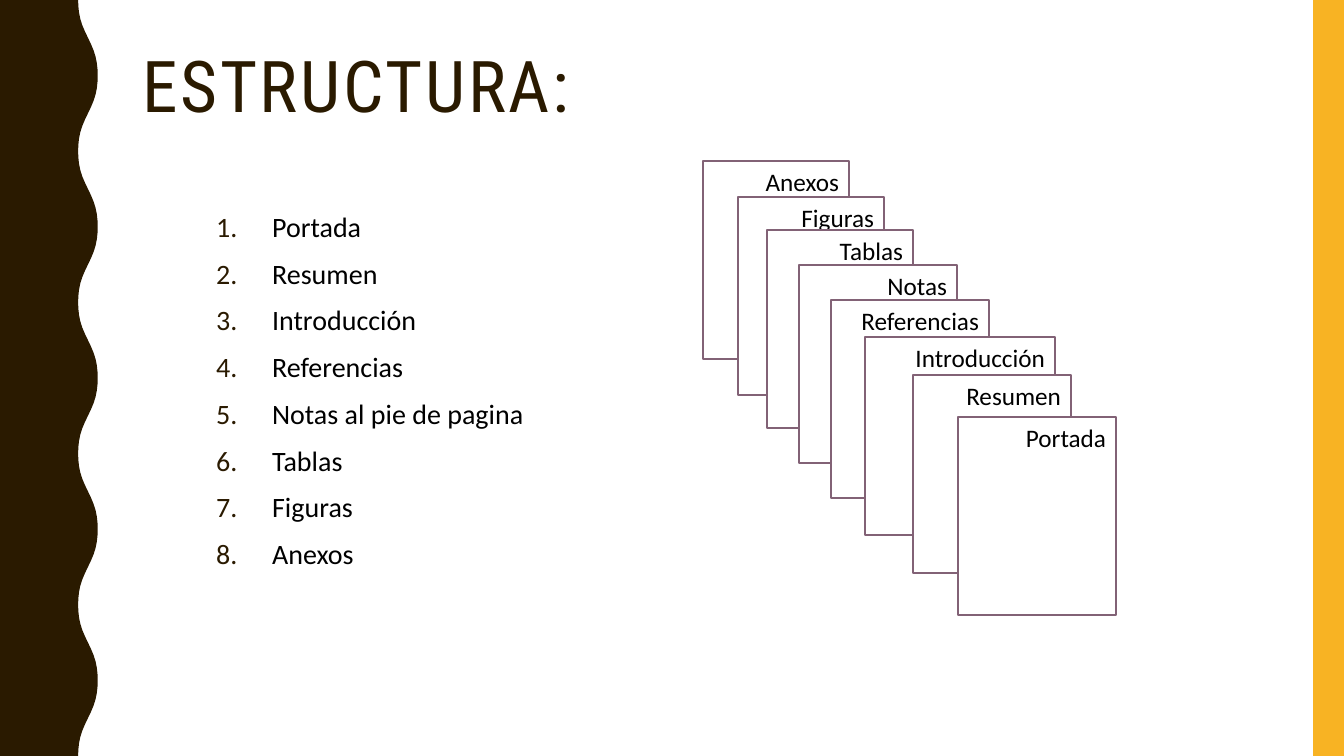
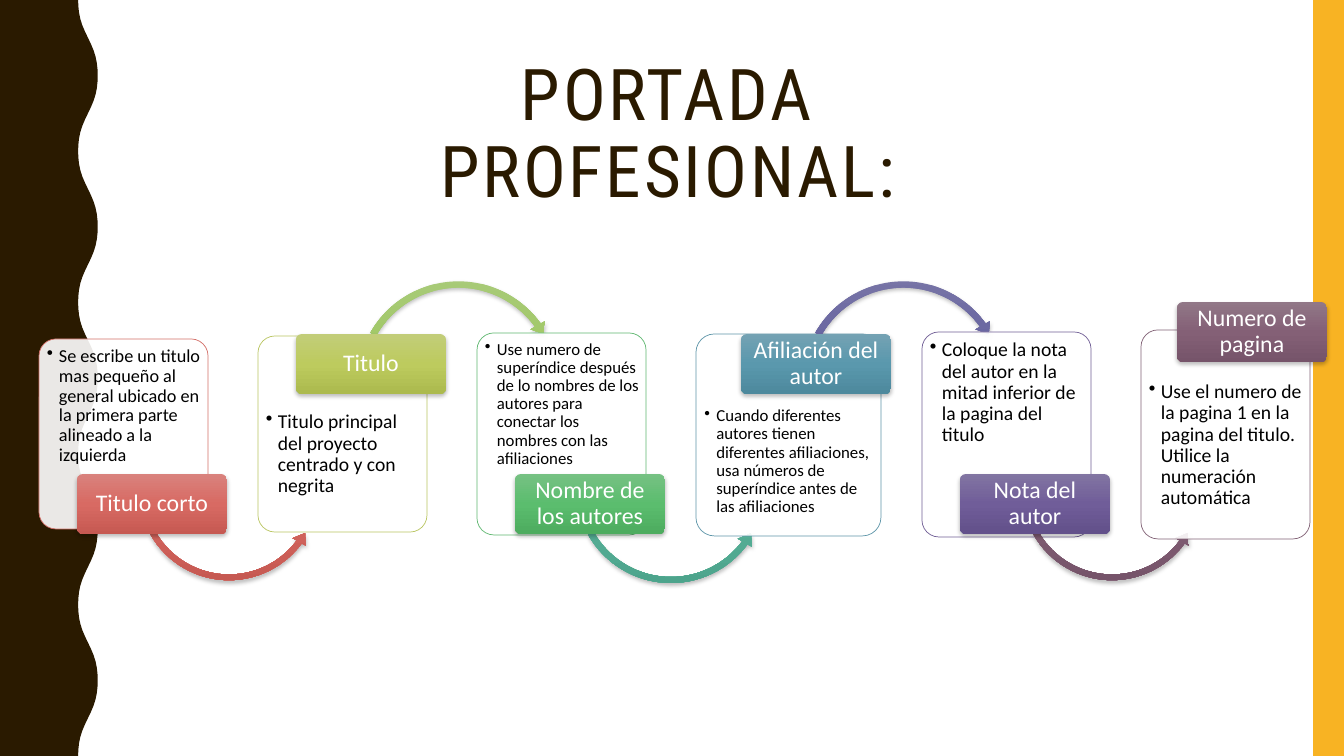
"""Build two slides on the structure of a paper and its professional title page."""
import math

import lxml.etree
import pptx
import pptx.dml.color
import pptx.enum.shapes
import pptx.enum.text
import pptx.oxml.ns
import pptx.util
import copy

WIDTH, HEIGHT = 1344, 756
EMU_PER_PX = 12192000 / WIDTH
TITLE_FONT, TEXT_FONT = "Roboto Condensed", "Calibri"
SHAPES = pptx.enum.shapes.MSO_SHAPE
ALIGN = pptx.enum.text.PP_ALIGN
ANCHOR = pptx.enum.text.MSO_ANCHOR
qn = pptx.oxml.ns.qn

COLORS = {
    "brown": "2A1A00", "amber": "F8B323", "white": "FFFFFF", "black": "000000",
    "red": "D36F68", "lime": "BAC663", "green": "60B871",
    "blue": "5E96A9", "purple": "715F96", "mauve": "826276",
}
RAMPS = {
    "red": ("D9827D", "D86A63", "C65952"),
    "lime": ("C2CD79", "BDCB5E", "ACBA4E"),
    "leaf": ("A8CA78", "9EC85D", "8EB74E"),
    "green": ("76C183", "5BBD6E", "4DAC5F"),
    "teal": ("75BAA5", "5BB59C", "4DA48C"),
    "blue": ("74A2B3", "5A98AD", "4D899D"),
    "violet": ("7774A6", "5F5C9E", "524F8F"),
    "purple": ("8275A2", "705D99", "62508A"),
    "mauve": ("917787", "846076", "76546A"),
}

SECTIONS = ["Portada", "Resumen", "Introducción", "Referencias",
            "Notas al pie de pagina", "Tablas", "Figuras", "Anexos"]
SHEET_HEIGHT = 198
SHEETS = [
    ("Anexos", 703, 161, 146), ("Figuras", 738, 197, 146),
    ("Tablas", 767, 230, 146), ("Notas", 799, 265, 158),
    ("Referencias", 831, 300, 158), ("Introducción", 865, 337, 190),
    ("Resumen", 913, 375, 158), ("Portada", 958, 417, 158),
]

LABEL_SIZE = (150, 60)
ARC_BELOW = (SHAPES.LEFT_CIRCULAR_ARROW, (0.03, 4.14, 21.9, 90.25, 0.04))
ARC_ABOVE = (SHAPES.CIRCULAR_ARROW, (0.03, 3.69, 194.5, 125.7, 0.04))
STEPS = [
    {"color": "red", "card": (39, 339, 169, 190), "inset": 3, "size": 13,
     "text": "Se escribe un titulo mas pequeño al general ubicado en la primera "
             "parte alineado a la izquierda",
     "label": "Titulo corto", "label_at": (77, 474),
     "arrow": (ARC_BELOW, 134, 395, 190, "red")},
    {"color": "lime", "card": (258, 336, 169, 196), "inset": 71, "size": 14,
     "text": "Titulo principal del proyecto centrado y con negrita",
     "label": "Titulo", "label_at": (296, 334),
     "arrow": (ARC_ABOVE, 352, 276, 213, "leaf")},
    {"color": "green", "card": (477, 333, 169, 202), "inset": 3, "size": 12,
     "text": "Use numero de superíndice después de lo nombres de los autores para "
             "conectar los nombres con las afiliaciones",
     "label": "Nombre de los autores", "label_at": (515, 474),
     "arrow": (ARC_BELOW, 571, 388, 200, "teal")},
    {"color": "blue", "card": (696, 334, 185, 202), "inset": 68, "size": 12,
     "text": "Cuando diferentes autores tienen diferentes afiliaciones, usa números "
             "de superíndice antes de las afiliaciones",
     "label": "Afiliación del autor", "label_at": (741, 334),
     "arrow": (ARC_ABOVE, 797, 276, 213, "violet")},
    {"color": "purple", "card": (922, 332, 169, 205), "inset": 3, "size": 14,
     "text": "Coloque la nota del autor en la mitad inferior de la pagina del titulo",
     "label": "Nota del autor", "label_at": (960, 474),
     "arrow": (ARC_BELOW, 1017, 395, 190, "mauve")},
    {"color": "mauve", "card": (1141, 330, 169, 209), "inset": 47, "size": 14,
     "text": "Use el numero de la pagina 1 en la pagina del titulo. Utilice la "
             "numeración automática",
     "label": "Numero de pagina", "label_at": (1177, 302), "arrow": None},
]


def px(value):
    """Turn pixels into EMU."""
    return pptx.util.Emu(round(value * EMU_PER_PX))


def rgb(name):
    """Look up a named colour."""
    return pptx.dml.color.RGBColor.from_string(COLORS[name])


def place(shape, left, top, width, height):
    """Move and size a shape in pixels."""
    shape.left, shape.top = px(left), px(top)
    shape.width, shape.height = px(width), px(height)


def style_paragraph(paragraph, size, color, font=TEXT_FONT, align=ALIGN.LEFT, spacing=1.0):
    """Format one paragraph."""
    paragraph.alignment = align
    paragraph.line_spacing = spacing
    paragraph.font.size = pptx.util.Pt(size)
    paragraph.font.name = font
    paragraph.font.color.rgb = rgb(color)


def add_bullet(paragraph, indent, tag, color=None, **attributes):
    """Give a paragraph a hanging bullet or number."""
    properties = paragraph._p.get_or_add_pPr()
    properties.set("marL", str(px(indent)))
    properties.set("indent", str(-px(indent)))
    if color:
        bullet_color = lxml.etree.SubElement(properties, qn("a:buClr"))
        lxml.etree.SubElement(bullet_color, qn("a:srgbClr"), val=COLORS[color])
    lxml.etree.SubElement(properties, qn(tag), **attributes)


def set_frame(shape, anchor, margins=None):
    """Wrap and anchor the text of a shape, with margins in pixels."""
    frame = shape.text_frame
    frame.word_wrap = True
    frame.auto_size = pptx.enum.text.MSO_AUTO_SIZE.NONE
    frame.vertical_anchor = anchor
    if margins:
        (frame.margin_left, frame.margin_top,
         frame.margin_right, frame.margin_bottom) = map(px, margins)
    return frame


def paint(shape, fill, line=None, line_width=1):
    """Give a shape a plain fill, an optional outline and no shadow."""
    shape.shadow.inherit = False
    shape.fill.solid()
    shape.fill.fore_color.rgb = rgb(fill)
    if line:
        shape.line.color.rgb = rgb(line)
        shape.line.width = pptx.util.Pt(line_width)
    else:
        shape.line.fill.background()


def paint_raised(shape, ramp):
    """Give a shape a three-stop vertical gradient and a soft shadow."""
    shape.line.fill.background()
    shape.fill.gradient()
    shape.fill.gradient_angle = 270
    stop_list = shape.element.spPr.find(".//" + qn("a:gsLst"))
    stop_list.insert(1, copy.deepcopy(stop_list[0]))
    for index, (stop, color) in enumerate(zip(shape.fill.gradient_stops, RAMPS[ramp])):
        stop.position = index / 2
        stop.color.rgb = pptx.dml.color.RGBColor.from_string(color)
    shape.shadow.inherit = False
    effects = shape.element.spPr.find(qn("a:effectLst"))
    shadow = lxml.etree.SubElement(
        effects, qn("a:outerShdw"), blurRad=str(pptx.util.Pt(3)),
        dist=str(pptx.util.Pt(2)), dir="5400000", rotWithShape="0")
    shadow_color = lxml.etree.SubElement(shadow, qn("a:srgbClr"), val=COLORS["black"])
    lxml.etree.SubElement(shadow_color, qn("a:alpha"), val="25000")


def add_shape(slide, kind, left, top, width, height):
    """Add a preset shape at a pixel position."""
    return slide.shapes.add_shape(kind, px(left), px(top), px(width), px(height))


def decorate_master(presentation, slide):
    """Draw the wavy edge and the side band, then move them to the master."""
    steps = 120
    points = []
    for step in range(steps + 1):
        y = HEIGHT * step / steps
        angle = 10 * math.pi * step / steps
        x = 88 - 10.3 * math.cos(angle) + 0.5 * math.cos(3 * angle)
        points.append((px(x), px(y)))
    builder = slide.shapes.build_freeform(0, 0)
    builder.add_line_segments(points + [(0, px(HEIGHT))], close=True)
    wave = builder.convert_to_shape()
    paint(wave, "brown")
    band = add_shape(slide, SHAPES.RECTANGLE, 1313, 0, WIDTH - 1313, HEIGHT)
    paint(band, "amber")
    for index, shape in enumerate((wave, band)):
        shape.element.nvSpPr.cNvPr.id = 100 + index
        presentation.slide_master.shapes.element.insert(2 + index, shape.element)


def set_title(slide, text, box, align):
    """Fill and format the title placeholder."""
    title = slide.shapes.title
    place(title, *box)
    frame = set_frame(title, ANCHOR.TOP)
    frame.text = text
    paragraph = frame.paragraphs[0]
    style_paragraph(paragraph, 51, "brown", TITLE_FONT, align, 0.9)
    paragraph._p.pPr.find(qn("a:defRPr")).set("spc", "200")


def set_numbered_list(slide, items, box):
    """Fill the body placeholder with a numbered list."""
    body = slide.placeholders[1]
    place(body, *box)
    frame = set_frame(body, ANCHOR.TOP)
    frame.text = "\n".join(items)
    for index, paragraph in enumerate(frame.paragraphs):
        paragraph.space_before = pptx.util.Pt(7 if index else 0)
        add_bullet(paragraph, 56, "a:buAutoNum", "brown", type="arabicPeriod")
        style_paragraph(paragraph, 20, "black", spacing=1.1)


def add_sheet(slide, text, left, top, width):
    """Add one sheet of the overlapping pile."""
    sheet = add_shape(slide, SHAPES.RECTANGLE, left, top, width, SHEET_HEIGHT)
    paint(sheet, "white", "mauve")
    frame = set_frame(sheet, ANCHOR.TOP)
    frame.text = text
    style_paragraph(frame.paragraphs[0], 18, "black", align=ALIGN.RIGHT)


def add_card(slide, step):
    """Add the outlined card with its bulleted explanation."""
    card = add_shape(slide, SHAPES.ROUNDED_RECTANGLE, *step["card"])
    card.adjustments[0] = 0.1
    paint(card, "white", step["color"], 0.5)
    fill_color = card.element.spPr.find(qn("a:solidFill"))[0]
    lxml.etree.SubElement(fill_color, qn("a:alpha"), val="90000")
    frame = set_frame(card, ANCHOR.TOP, (3, step["inset"], 1, 3))
    frame.text = step["text"]
    paragraph = frame.paragraphs[0]
    add_bullet(paragraph, 12, "a:buChar", char="•")
    style_paragraph(paragraph, step["size"], "black", spacing=0.9)


def add_arc_arrow(slide, arc, left, top, size, ramp):
    """Add a curved arrow leading to the next card."""
    kind, adjustments = arc
    arrow = add_shape(slide, kind, left, top, size, size)
    for index, value in enumerate(adjustments):
        arrow.adjustments[index] = value
    paint_raised(arrow, ramp)


def add_label(slide, step):
    """Add the raised label of a card."""
    label = add_shape(slide, SHAPES.ROUNDED_RECTANGLE, *step["label_at"], *LABEL_SIZE)
    label.adjustments[0] = 0.1
    paint_raised(label, step["color"])
    frame = set_frame(label, ANCHOR.MIDDLE, (4, 2, 4, 2))
    frame.text = step["label"]
    style_paragraph(frame.paragraphs[0], 17, "white", align=ALIGN.CENTER, spacing=0.9)


def build_structure(slide):
    """Fill the slide on the structure of the paper."""
    set_title(slide, "ESTRUCTURA:", (132, 46, 487, 94), ALIGN.LEFT)
    set_numbered_list(slide, SECTIONS, (206, 201, 694, 480))
    for sheet in SHEETS:
        add_sheet(slide, *sheet)


def build_title_page(slide):
    """Fill the slide on the professional title page."""
    set_title(slide, "PORTADA PROFESIONAL:", (284, 54, 768, 101), ALIGN.CENTER)
    for step in STEPS:
        add_card(slide, step)
        if step["arrow"]:
            add_arc_arrow(slide, *step["arrow"])
        add_label(slide, step)


def main():
    """Build and save the presentation."""
    presentation = pptx.Presentation()
    presentation.slide_width, presentation.slide_height = px(WIDTH), px(HEIGHT)
    structure = presentation.slides.add_slide(presentation.slide_layouts[1])
    decorate_master(presentation, structure)
    build_structure(structure)
    build_title_page(presentation.slides.add_slide(presentation.slide_layouts[5]))
    presentation.save("out.pptx")


if __name__ == "__main__":
    main()
